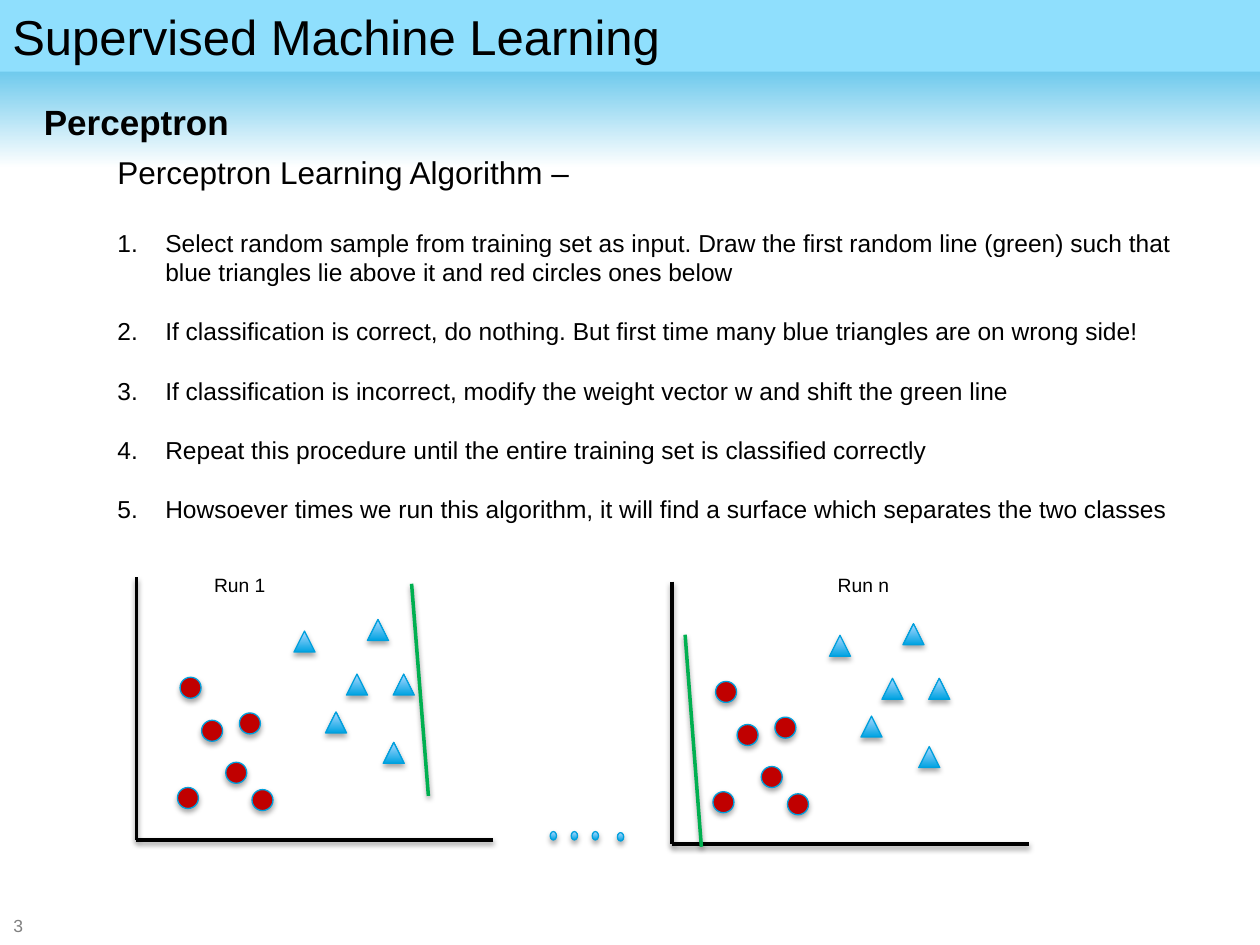
from dataclasses import dataclass
from lxml import etree
from pptx import Presentation
from pptx.dml.color import RGBColor
from pptx.enum import shapes, text
from pptx.oxml import ns
from pptx.util import Emu, Inches, Pt

COLUMNS, ROWS = 120, 90
CELL = Inches(10) / COLUMNS
BLACK, GREEN, RED, EDGE = "000000", "00B050", "C00000", "00A0DD"
GLOSS = ("00A3E2", "ADD8FF")
FRAME = {"word_wrap": True, "vertical_anchor": text.MSO_ANCHOR.TOP}
MIDDLE = {"vertical_anchor": text.MSO_ANCHOR.MIDDLE, "margin_top": 0, "margin_bottom": 0}
TRIANGLE = shapes.MSO_SHAPE.ISOSCELES_TRIANGLE
OVAL = shapes.MSO_SHAPE.OVAL
MARKER_SIZE = 2

TRIANGLES = [(22, 4), (15, 5.1), (20, 9.2), (24.45, 9.2), (23.5, 15.7), (18, 12.8)]
CIRCLES = [(6.2, 13.6), (9.8, 12.9), (11, 20.2), (8.5, 17.6), (3.9, 20), (4.15, 9.5)]
DOTS = [(52.4, 79.2), (54.4, 79.2), (56.4, 79.2), (58.8, 79.3)]
STEPS = [
    "Select random sample from training set as input. Draw the first random line (green) such that "
    "blue triangles lie above it and red circles ones below",
    "If classification is correct, do nothing. But first time many blue triangles are on wrong side!",
    "If classification is incorrect, modify the weight vector w and shift the green line",
    "Repeat this procedure until the entire training set is classified correctly",
    "Howsoever times we run this algorithm, it will find a surface which separates the two classes",
]


@dataclass(frozen=True)
class Box:
    column: float
    row: float
    columns: float
    rows: float

    def lengths(self) -> list[Emu]:
        return [cells(n) for n in (self.column, self.row, self.columns, self.rows)]


@dataclass(frozen=True)
class Plot:
    label: str
    label_column: float
    label_row: float
    column: float
    row: float
    separator: tuple[float, float, float, float]


PLOTS = [
    Plot("Run 1", 6.2, -1, 13, 55, (26.2, 0.6, 27.8, 20.8)),
    Plot("Run n", 14.6, -1.4, 64, 55.4, (1.25, 5.05, 2.8, 25.25)),
]


def cells(count: float) -> Emu:
    return Emu(round(count * CELL))


def color(value: str) -> RGBColor:
    return RGBColor.from_string(value)


def apply(target, values: dict) -> None:
    for name, value in values.items():
        setattr(target, name, value)


def set_fill(shape, fill: str | tuple[str, str], angle: int) -> None:
    if isinstance(fill, str):
        shape.fill.solid()
        shape.fill.fore_color.rgb = color(fill)
        return
    shape.fill.gradient()
    shape.fill.gradient_angle = angle
    for stop, value in zip(shape.fill.gradient_stops, fill):
        stop.color.rgb = color(value)


def add_shadow(shape, opacity: int, distance: float) -> None:
    properties = shape._element.spPr
    effects = properties.find(ns.qn("a:effectLst"))
    if effects is None:
        effects = etree.SubElement(properties, ns.qn("a:effectLst"))
    shadow = etree.SubElement(effects, ns.qn("a:outerShdw"), blurRad=str(Pt(3.1)),
                              dist=str(Pt(distance)), dir="5400000", rotWithShape="0")
    tone = etree.SubElement(shadow, ns.qn("a:srgbClr"), val=BLACK)
    etree.SubElement(tone, ns.qn("a:alpha"), val=str(opacity * 1000))


def add_band(slide, box: Box, fill: str | tuple[str, str]):
    shape = slide.shapes.add_shape(shapes.MSO_SHAPE.RECTANGLE, *box.lengths())
    shape.shadow.inherit = False
    set_fill(shape, fill, 270)
    shape.line.fill.background()
    return shape


def add_marker(slide, kind, box: Box, fill: str | tuple[str, str]) -> None:
    shape = slide.shapes.add_shape(kind, *box.lengths())
    shape.shadow.inherit = False
    set_fill(shape, fill, 90)
    shape.line.color.rgb = color(EDGE)
    shape.line.width = Pt(0.75)
    add_shadow(shape, 35, 1.8)


def add_line(slide, start: tuple[float, float], end: tuple[float, float], line_color: str) -> None:
    line = slide.shapes.add_connector(shapes.MSO_CONNECTOR.STRAIGHT,
                                      *[cells(n) for n in (*start, *end)])
    line.line.color.rgb = color(line_color)
    line.line.width = Pt(2)
    add_shadow(line, 38, 1.6)


def write(paragraph, words: str, size: float, font_color: str = BLACK, bold: bool = False) -> None:
    paragraph.alignment = text.PP_ALIGN.LEFT
    run = paragraph.add_run()
    run.text = words
    apply(run.font, {"name": "Arial", "size": Pt(size), "bold": bold})
    run.font.color.rgb = color(font_color)


def add_text(slide, box: Box, words: str, size: float, font_color: str = BLACK,
             bold: bool = False, frame: dict = FRAME):
    shape = slide.shapes.add_textbox(*box.lengths())
    apply(shape.text_frame, FRAME | frame)
    write(shape.text_frame.paragraphs[0], words, size, font_color, bold)
    return shape


def add_step(frame, words: str, gap: float) -> None:
    paragraph = frame.add_paragraph()
    paragraph.space_before = Pt(gap)
    properties = paragraph._p.get_or_add_pPr()
    properties.set("marL", str(Inches(0.38)))
    properties.set("indent", str(-Inches(0.38)))
    etree.SubElement(properties, ns.qn("a:buFont"), typeface="+mj-lt")
    etree.SubElement(properties, ns.qn("a:buAutoNum"), type="arabicPeriod")
    write(paragraph, words, 14)


def draw_plot(slide, plot: Plot) -> None:
    def place(column: float, row: float) -> tuple[float, float]:
        return plot.column + column, plot.row + row

    add_line(slide, place(0, 0), place(0, 25), BLACK)
    add_line(slide, place(34, 25), place(0, 25), BLACK)
    for kind, points, fill in ((TRIANGLE, TRIANGLES, GLOSS), (OVAL, CIRCLES, RED)):
        for point in points:
            add_marker(slide, kind, Box(*place(*point), MARKER_SIZE, MARKER_SIZE), fill)
    add_line(slide, place(*plot.separator[:2]), place(*plot.separator[2:]), GREEN)
    add_text(slide, Box(*place(plot.label_column, plot.label_row), 11.9, 3.5), plot.label, 11)


def main() -> None:
    presentation = Presentation()
    presentation.slide_width = cells(COLUMNS)
    presentation.slide_height = cells(ROWS)
    slide = presentation.slides.add_slide(presentation.slide_layouts[6])

    add_band(slide, Box(0, 0, COLUMNS, 16), ("03A2DF", "FFFFFF"))
    add_text(slide, Box(0.1, 87.2, 4.7, 1.9), "3", 10, "808080", frame=MIDDLE)
    title = add_band(slide, Box(0, 0, COLUMNS, 6.84), "8FDFFD")
    apply(title.text_frame, FRAME)
    write(title.text_frame.paragraphs[0], "Supervised Machine Learning", 28)

    body = add_text(slide, Box(10, 14, 106.4, 40.4), "Perceptron Learning Algorithm –", 18)
    for index, step in enumerate(STEPS):
        add_step(body.text_frame, step, 17 if index else 21)
    add_text(slide, Box(3, 9, 66, 5.3), "Perceptron", 20, bold=True)

    for plot in PLOTS:
        draw_plot(slide, plot)
    for dot in DOTS:
        add_marker(slide, OVAL, Box(*dot, 0.6, 0.8), GLOSS)
    presentation.save("out.pptx")


if __name__ == "__main__":
    main()
